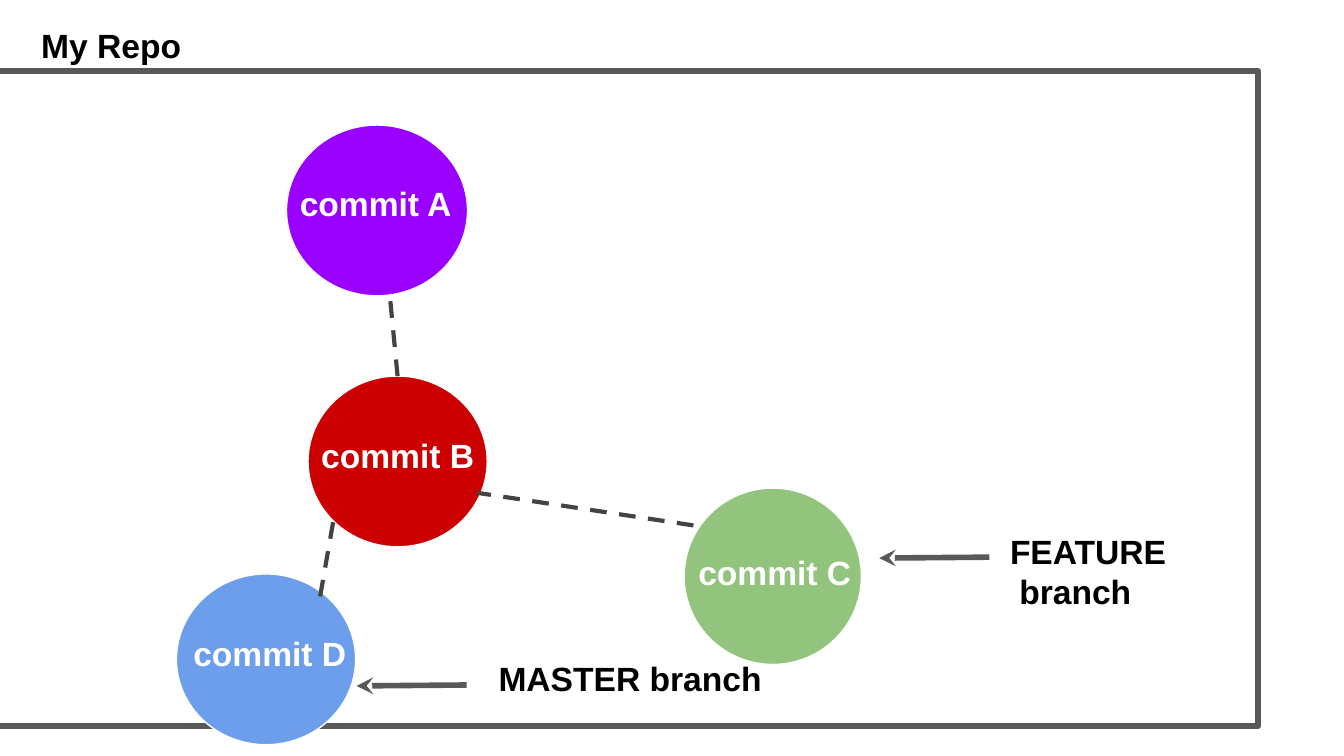
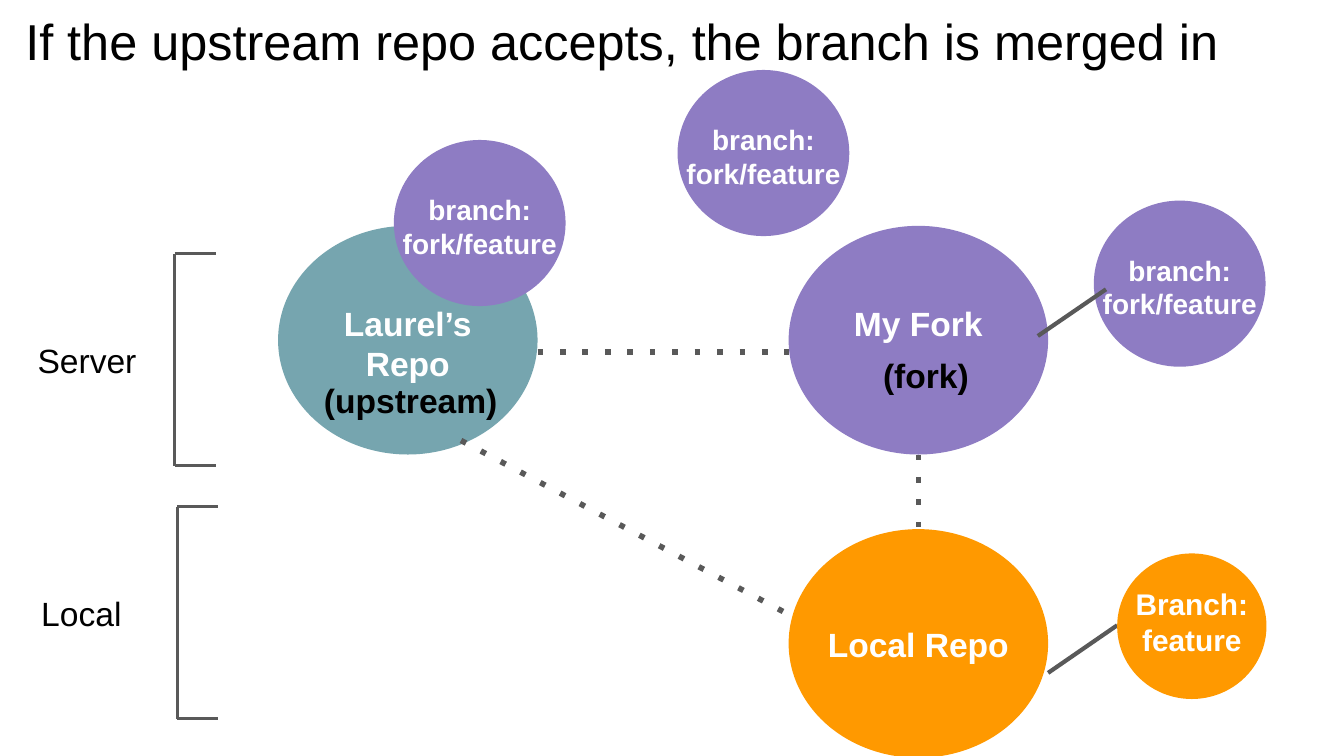
from lxml import etree
from pptx import Presentation
from pptx.dml.color import RGBColor
from pptx.enum.shapes import MSO_CONNECTOR as CONN, MSO_SHAPE as SHAPE
from pptx.enum.text import MSO_ANCHOR as ANCHOR, PP_ALIGN as ALIGN
from pptx.oxml.ns import qn
from pptx.util import Pt

WHITE, BLACK, GREY, DARK = "FFFFFF", "000000", "595959", "434343"
PURPLE, ORANGE, TEAL = "8E7CC3", "FF9900", "76A5AF"


def rgb(hex_color):
    return RGBColor.from_string(hex_color)


class Deck:
    """Holds the style and the current slide; all lengths are in points."""

    font = "Arial"
    inset = 7.2

    def __init__(self, width, height):
        self.prs = Presentation()
        self.prs.slide_width, self.prs.slide_height = Pt(width), Pt(height)

    def new_slide(self):
        self.s = self.prs.slides.add_slide(self.prs.slide_layouts[6])

    def shape(self, kind, x, y, w, h, fill, line=None, weight=0.75):
        sp = self.s.shapes.add_shape(kind, Pt(x), Pt(y), Pt(w), Pt(h))
        sp.shadow.inherit = False
        sp.fill.solid()
        sp.fill.fore_color.rgb = rgb(fill)
        if line:
            sp.line.color.rgb = rgb(line)
            sp.line.width = Pt(weight)
        else:
            sp.line.fill.background()

    def text(self, text, x, y, w, h=43, color=BLACK, align=ALIGN.LEFT, **fmt):
        """Each line of the text becomes a paragraph."""
        tf = self.s.shapes.add_textbox(Pt(x), Pt(y), Pt(w), Pt(h)).text_frame
        tf.word_wrap = True
        tf.vertical_anchor = ANCHOR.TOP
        for side in ("left", "top", "right", "bottom"):
            setattr(tf, f"margin_{side}", Pt(self.inset))
        font = {"name": self.font, "size": Pt(18), "bold": True} | fmt
        for i, line in enumerate(text.split("\n")):
            p = tf.paragraphs[0] if i == 0 else tf.add_paragraph()
            p.alignment = align
            r = p.add_run()
            r.text = line
            for name, value in font.items():
                setattr(r.font, name, value)
            r.font.color.rgb = rgb(color)

    def line(self, x1, y1, x2, y2, weight, color=GREY, dash=None, arrow=False):
        c = self.s.shapes.add_connector(CONN.STRAIGHT, Pt(x1), Pt(y1), Pt(x2), Pt(y2))
        c.line.color.rgb = rgb(color)
        c.line.width = Pt(weight)
        ln = c.line._get_or_add_ln()
        if dash:
            etree.SubElement(ln, qn("a:prstDash"), val=dash)
        if arrow:
            etree.SubElement(ln, qn("a:tailEnd"), type="stealth")
        etree.SubElement(c._element.spPr, qn("a:effectLst"))

    def commit(self, letter, fill, x, y, w=96, h=91.5, dx=0, dy=24.5):
        """Circle with its label shifted by (dx, dy)."""
        self.shape(SHAPE.OVAL, x, y, w, h, fill, WHITE)
        self.text(f"commit {letter}", x + dx, y + dy, w + 9, color=WHITE)

    def history(self, *points):
        self.line(*points, 2.25, DARK, "dash")

    def pointer(self, x, y):
        """Arrow that ends at (x, y), coming from the right."""
        self.line(x + 59, y - 0.5, x, y, 3, arrow=True)

    def repo(self, name, fill, x, y, dy=34):
        w = 139
        self.shape(SHAPE.OVAL, x, y, w, 122.5, fill)
        self.text(name, x, y + dy, w, 68, WHITE, ALIGN.CENTER)

    def branch(self, name, fill, x, y, w=92, h=89, dy=21, size=15):
        """Small circle with a wider label centred on it."""
        self.shape(SHAPE.OVAL, x, y, w, h, fill)
        label_w = 139
        self.text(name, x + (w - label_w) / 2, y + dy, label_w, 68, WHITE,
                  ALIGN.CENTER, size=Pt(size))

    def bracket(self, x, y, w=22, h=113.5):
        self.line(x, y, x, y + h, 1.5)
        for edge in (y, y + h):
            self.line(x, edge, x + w, edge, 1.5)

    def sync(self, *points):
        self.line(*points, 3, dash="dot")


def commits_slide(d):
    d.new_slide()
    d.shape(SHAPE.RECTANGLE, -10, 38, 684, 351, WHITE, GREY, 3)
    d.text("My Repo", 15, 6, 240)

    d.commit("B", "CC0000", 165, 201.5)
    d.history(213, 201.5, 206.5, 134)
    d.commit("A", "9900FF", 153.5, 67, w=97, dy=24)
    d.commit("C", "93C47D", 366.5, 261.5, w=95, h=94.5, dx=0.5, dy=27)
    d.history(371.5, 281.5, 255.5, 264)

    d.pointer(471, 299)
    d.text("FEATURE\n branch", 534, 277, 168)
    d.pointer(191, 367.5)
    d.text("MASTER branch", 260, 345.5, 168)

    d.commit("D", "6D9EEB", 94.5, 307.5, dx=2)
    d.history(171.5, 319.5, 178.5, 279.5)


def merge_slide(d):
    d.new_slide()
    d.text("If the upstream repo accepts, the branch is merged in",
           6.5, -2, 682, 45, size=Pt(27), bold=False)

    upstream_x, fork_x, top = 149, 422.5, 121
    d.repo("Laurel’s\nRepo", TEAL, upstream_x, top)
    d.repo("My Fork", PURPLE, fork_x, top)
    d.repo("Local Repo", ORANGE, fork_x, 283.5, dy=43.5)

    for place, x, y, bracket_x, bracket_y in (
        ("Server", 13, 175, 93.5, 136),
        ("Local", 15, 310.5, 95, 271.5),
    ):
        d.text(place, x, y, 70.5, 45, bold=False)
        d.bracket(bracket_x, bracket_y)

    d.sync(492, 243.5, 492, 283.5)
    d.sync(288, 188.5, fork_x, 188.5)
    d.sync(247, 236, 424, 330)
    d.text("(upstream)", 166.5, 196.5, 128, 45)
    d.text("(fork)", 466, 183, 70.5, 45)

    d.line(561.5, 360.5, 598.5, 335, 2.25)
    d.branch("Branch:\nfeature", ORANGE, 598.5, 296.5, 80, 78, dy=10, size=16)
    for x, y in ((586, 107.5), (363, 37.5), (211, 75)):
        d.branch("branch:\nfork/feature", PURPLE, x, y)
    d.line(556, 180, 592.5, 155, 2.25)


def main():
    d = Deck(720, 405)
    commits_slide(d)
    merge_slide(d)
    d.prs.save("out.pptx")


if __name__ == "__main__":
    main()
